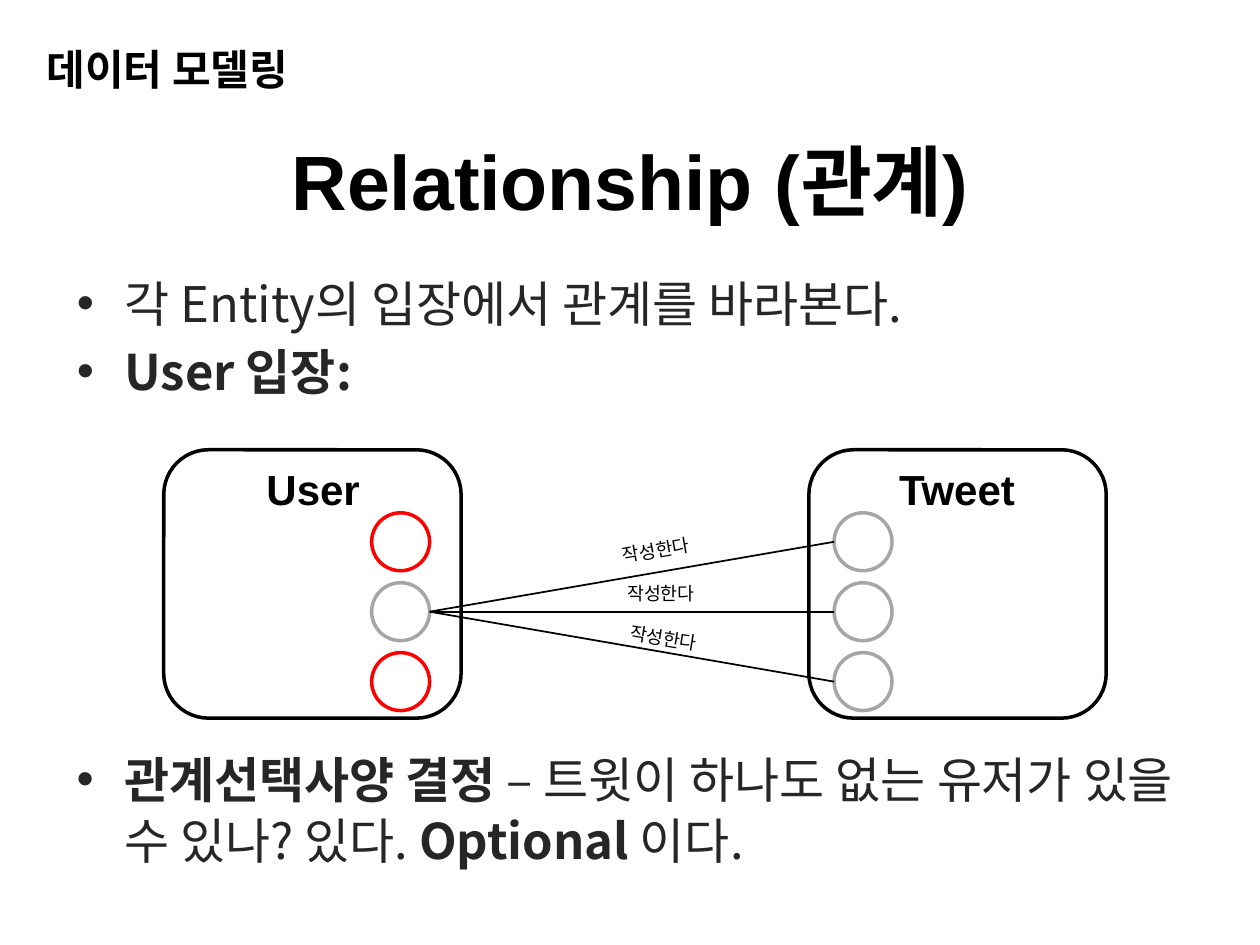
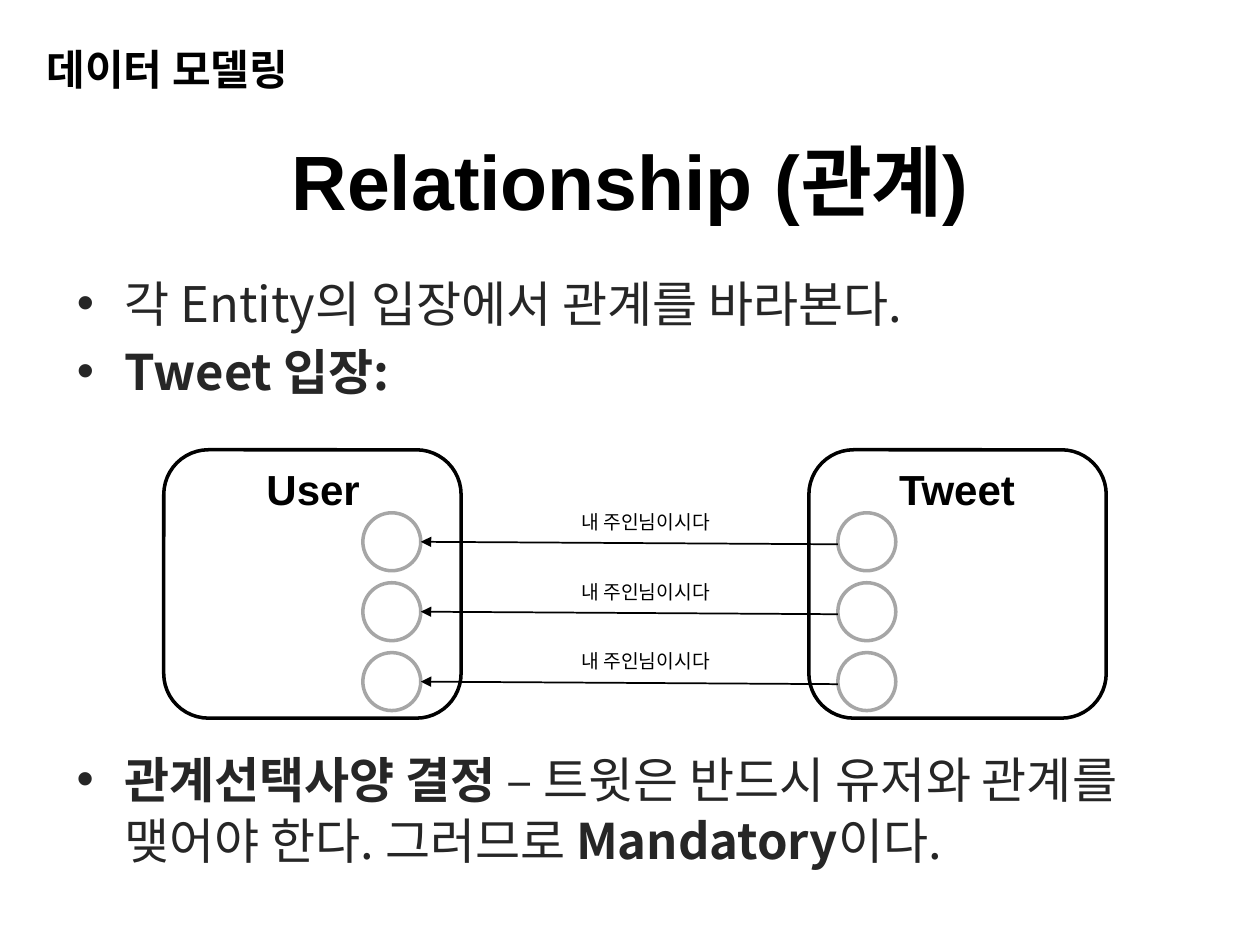
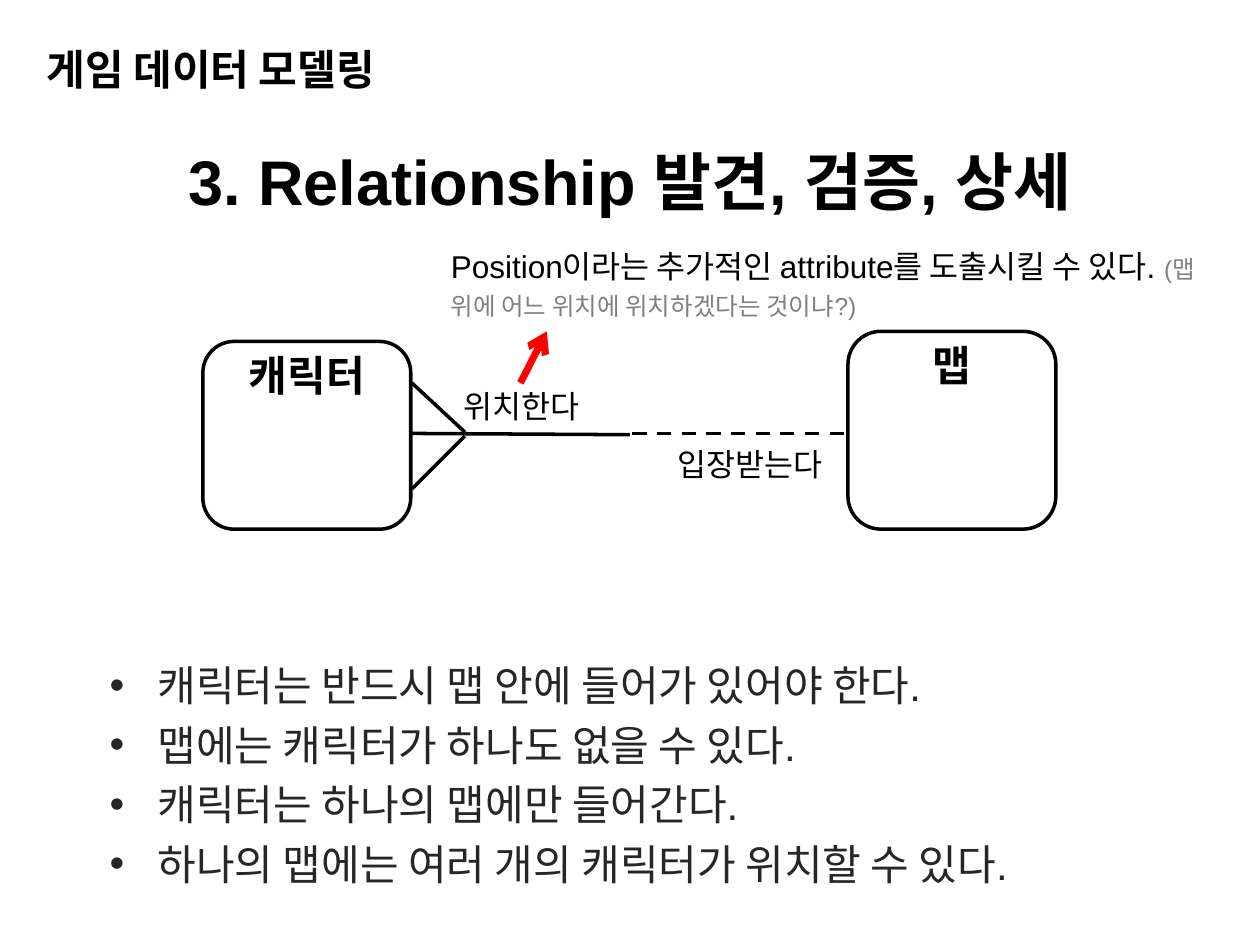
from typing import NamedTuple

from lxml.etree import SubElement
from pptx import Presentation
from pptx.dml.color import RGBColor
from pptx.enum.dml import MSO_LINE_DASH_STYLE as Dash
from pptx.enum.shapes import MSO_CONNECTOR as Connector, MSO_SHAPE as Preset
from pptx.enum.text import MSO_ANCHOR as Anchor, MSO_AUTO_SIZE as AutoSize, PP_ALIGN as Align
from pptx.oxml.ns import qn
from pptx.util import Emu, Inches, Pt

COLORS = {"ink": "000000", "body": "262626", "ring": "A6A6A6", "alert": "FF0000", "note": "808080"}
LATIN = "Arial"
KOREAN = "Noto Sans CJK KR"
WIDTH, HEIGHT = Inches(10), Inches(7.5)
COLUMNS, ROWS = 100, 75
LEADING = 1.25
HANGING = Inches(0.38)
RING = 4.6
FIRST_RING, RING_STEP = 40.7, 5.55
RING_TOPS = [FIRST_RING + RING_STEP * step for step in range(3)]


class Area(NamedTuple):
    column: float
    row: float
    columns: float
    rows: float


class Point(NamedTuple):
    column: float
    row: float


class Span(NamedTuple):
    text: str
    bold: bool | None = None
    size: float | None = None
    color: str | None = None


class Entity(NamedTuple):
    name: str
    frame: Area
    label: Area


class Label(NamedTuple):
    text: str
    area: Area
    size: float
    rotation: float = 0
    align: Align = Align.CENTER


class Link(NamedTuple):
    start: Point
    end: Point
    color: str = "ink"
    weight: float = 2
    dash: bool = False
    arrow: str | None = None


TITLE = Area(0, 8.4, 100, 11.8)
HEADER = Area(2.7, 2.8, 45.7, 5.5)
VIEWPOINT = Area(5.1, 21, 89.8, 11.8)
DECISION = Area(5.1, 58.8, 89.8, 11.8)
USER = Entity("User", Area(13, 35.7, 23.6, 21.3), Area(15.4, 36.1, 18.9, 5))
TWEET = Entity("Tweet", Area(64.2, 35.7, 23.6, 21.3), Area(66.5, 36.1, 18.9, 5))
CHARACTER = Entity("캐릭터", Area(16.1, 27.1, 16.5, 14.9), Area(16.1, 27.1, 16.5, 5))
GAME_MAP = Entity("맵", Area(67.3, 26.3, 16.5, 15.7), Area(67.3, 26.3, 16.5, 5))


def across(columns: float) -> Emu:
    return Emu(round(WIDTH * columns / COLUMNS))


def down(rows: float) -> Emu:
    return Emu(round(HEIGHT * rows / ROWS))


def bounds(area: Area) -> tuple[Emu, Emu, Emu, Emu]:
    return across(area.column), down(area.row), across(area.columns), down(area.rows)


def rgb(name: str) -> RGBColor:
    return RGBColor.from_string(COLORS[name])


def place(box, area: Area) -> None:
    box.left, box.top, box.width, box.height = bounds(area)


def write(box, paragraphs: list[list[Span]], *, size: float, font: str = LATIN,
          color: str = "ink", bold: bool = False, align: Align = Align.LEFT,
          anchor: Anchor = Anchor.TOP, bullets: bool = False,
          leading: float | None = LEADING) -> None:
    frame = box.text_frame
    frame.word_wrap = True
    frame.auto_size = AutoSize.NONE
    frame.vertical_anchor = anchor
    for number, spans in enumerate(paragraphs):
        para = frame.add_paragraph() if number else frame.paragraphs[0]
        settings = para._p.get_or_add_pPr()
        settings.set("marL", str(HANGING if bullets else 0))
        settings.set("indent", str(-HANGING if bullets else 0))
        if bullets:
            SubElement(settings, qn("a:buFont"), typeface=LATIN)
            SubElement(settings, qn("a:buChar"), char="•")
        else:
            SubElement(settings, qn("a:buNone"))
        para.alignment = align
        para.space_before = Pt(4 if number else 0)
        if leading:
            para.line_spacing = Pt(size * leading)
        for span in spans:
            run = para.add_run()
            run.text = span.text
            run.font.size = Pt(span.size or size)
            run.font.bold = bold if span.bold is None else span.bold
            run.font.color.rgb = rgb(span.color or color)
            run.font.name = font
            SubElement(run._r.get_or_add_rPr(), qn("a:ea"), typeface=KOREAN)


def add_text(page, area: Area, paragraphs: list[list[Span]], **style):
    box = page.shapes.add_textbox(*bounds(area))
    write(box, paragraphs, **style)
    return box


def add_label(page, label: Label) -> None:
    box = add_text(page, label.area, [[Span(label.text)]], size=label.size, align=label.align)
    box.rotation = label.rotation


def add_outline(page, preset: Preset, area: Area, color: str) -> None:
    shape = page.shapes.add_shape(preset, *bounds(area))
    shape.shadow.inherit = False
    shape.fill.background()
    shape.line.color.rgb = rgb(color)
    shape.line.width = Pt(2)


def add_entity(page, entity: Entity) -> None:
    add_outline(page, Preset.ROUNDED_RECTANGLE, entity.frame, "ink")
    add_text(page, entity.label, [[Span(entity.name)]], size=24, bold=True, align=Align.CENTER)


def add_rings(page, column: float, colors: list[str]) -> None:
    for top, color in zip(RING_TOPS, colors):
        add_outline(page, Preset.OVAL, Area(column, top, RING, RING), color)


def add_link(page, link: Link) -> None:
    line = page.shapes.add_connector(
        Connector.STRAIGHT, across(link.start.column), down(link.start.row),
        across(link.end.column), down(link.end.row))
    line.line.color.rgb = rgb(link.color)
    line.line.width = Pt(link.weight)
    if link.dash:
        line.line.dash_style = Dash.DASH
    if link.arrow:
        SubElement(line.line._get_or_add_ln(), qn("a:tailEnd"), type=link.arrow)
    SubElement(line._element.spPr, qn("a:effectLst"))


def add_page(deck, header: str, title: str, title_size: float, list_area: Area,
             items: list[list[Span]], **list_style):
    page = deck.slides.add_slide(deck.slide_layouts[3])
    heading, section, points = page.placeholders
    place(heading, TITLE)
    write(heading, [[Span(title)]], size=title_size, bold=True, align=Align.CENTER,
          anchor=Anchor.MIDDLE, leading=None)
    place(section, HEADER)
    write(section, [[Span(header)]], size=24, bold=True)
    place(points, list_area)
    write(points, items, color="body", bullets=True, **list_style)
    return page


def add_viewpoint_page(deck, viewpoint: str, decision: list[Span]):
    items = [[Span("각 Entity의 입장에서 관계를 바라본다.")], [Span(f"{viewpoint} 입장:", True)]]
    page = add_page(deck, "데이터 모델링", "Relationship (관계)", 44, VIEWPOINT, items,
                    size=28, font=KOREAN)
    for entity in (TWEET, USER):
        add_entity(page, entity)
    add_text(page, DECISION, [[Span("관계선택사양 결정", True), *decision]], size=28,
             font=KOREAN, color="body", bullets=True)
    return page


def build_user_page(deck) -> None:
    page = add_viewpoint_page(deck, "User", [
        Span(" – 트윗이 하나도 없는 유저가 있을 수 있나? 있다. "),
        Span("Optional ", True), Span("이다.")])
    user_column, tweet_column = 29.5, 66.2
    add_rings(page, user_column, ["alert", "ring", "alert"])
    add_rings(page, tweet_column, ["ring"] * 3)
    writer = Point(user_column + RING, RING_TOPS[1] + RING / 2)
    for top in RING_TOPS:
        add_link(page, Link(writer, Point(tweet_column, top + RING / 2), weight=1))
    for column, row, rotation in ((43, 42.2, 350), (43.4, 45.6, 0), (43.6, 49.2, 9.2)):
        add_label(page, Label("작성한다", Area(column, row, 18.1, 2.9), 10.5, rotation))


def build_tweet_page(deck) -> None:
    page = add_viewpoint_page(deck, "Tweet", [
        Span(" – 트윗은 반드시 유저와 관계를 맺어야 한다. 그러므로 "),
        Span("Mandatory", True), Span("이다.")])
    user_column, tweet_column = 28.8, 66.5
    for column in (user_column, tweet_column):
        add_rings(page, column, ["ring"] * 3)
    for top in RING_TOPS:
        middle = top + RING / 2
        add_link(page, Link(Point(tweet_column, middle + 0.2), Point(user_column + RING, middle),
                            weight=1, arrow="triangle"))
        add_label(page, Label("내 주인님이시다", Area(42.2, top - 0.8, 18.1, 2.9), 11))


def build_game_page(deck) -> None:
    rules = ["캐릭터는 반드시 맵 안에 들어가 있어야 한다.", "맵에는 캐릭터가 하나도 없을 수 있다.",
             "캐릭터는 하나의 맵에만 들어간다.", "하나의 맵에는 여러 개의 캐릭터가 위치할 수 있다."]
    page = add_page(deck, "게임 데이터 모델링", "3. Relationship 발견, 검증, 상세", 36,
                    Area(7.7, 51.7, 84, 18.9), [[Span(rule)] for rule in rules], size=24)
    for entity in (CHARACTER, GAME_MAP):
        add_entity(page, entity)
    for link in (
        Link(Point(50, 34.5), Point(32.5, 34.4)),
        Link(Point(32.7, 38.8), Point(36.9, 34.6)),
        Link(Point(32.7, 30.4), Point(36.9, 34.3)),
        Link(Point(50.2, 34.4), Point(67.3, 34.4), dash=True),
        Link(Point(41.3, 30.4), Point(43.4, 26.3), "alert", 4, arrow="arrow"),
    ):
        add_link(page, link)
    add_label(page, Label("위치한다", Area(35.8, 30.1, 13.4, 4), 18, align=Align.LEFT))
    add_label(page, Label("입장받는다", Area(52.8, 34.7, 14.5, 4), 18, align=Align.LEFT))
    add_text(page, Area(34.8, 19.4, 61.7, 6.4), [[
        Span("Position이라는 추가적인 attribute를 도출시킬 수 있다. "),
        Span("(맵 위에 어느 위치에 위치하겠다는 것이냐?)", size=14, color="note")]],
        size=18, leading=1.1)


def main() -> None:
    deck = Presentation()
    deck.slide_width, deck.slide_height = WIDTH, HEIGHT
    build_user_page(deck)
    build_tweet_page(deck)
    build_game_page(deck)
    deck.save("out.pptx")


if __name__ == "__main__":
    main()
